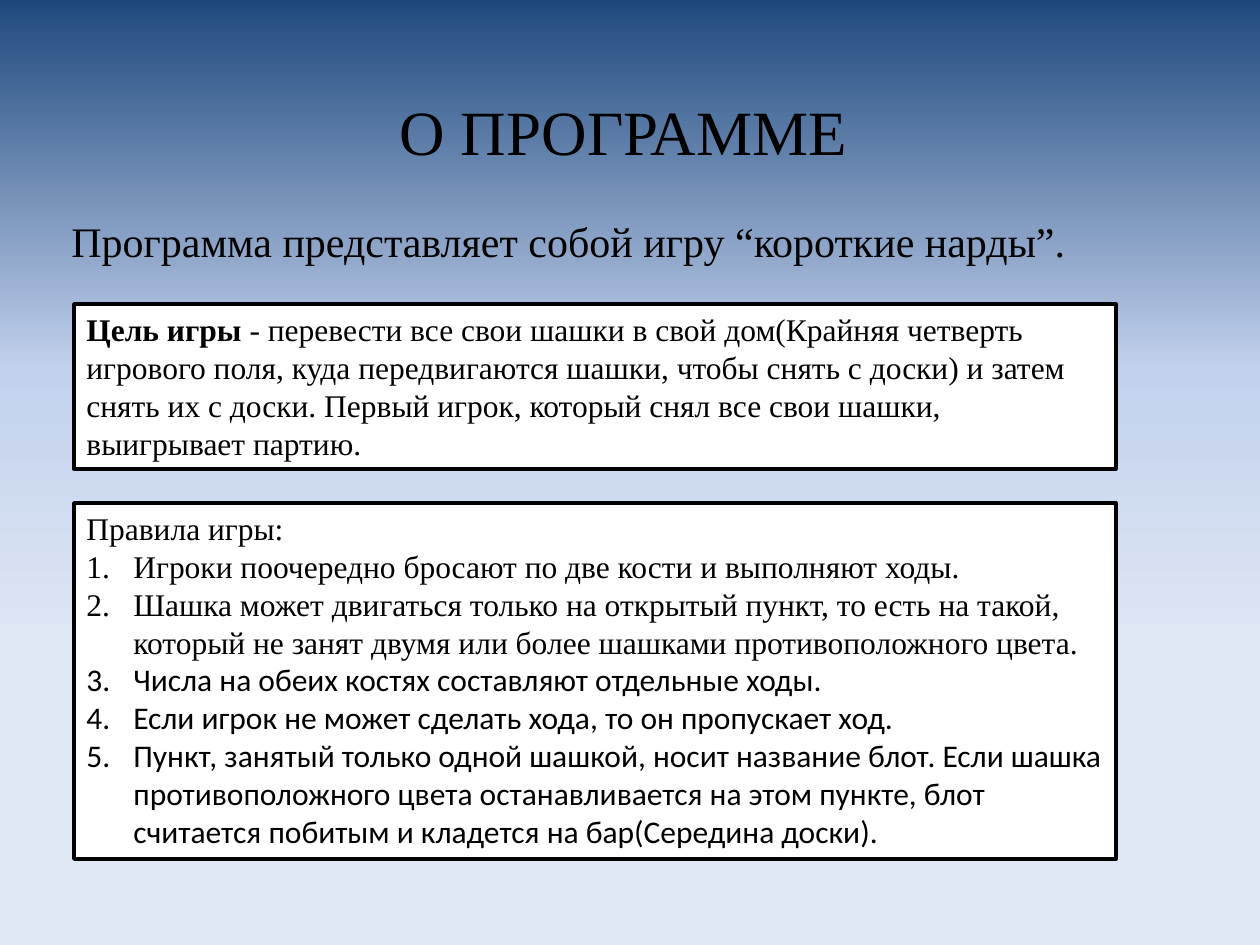
from copy import deepcopy

from lxml import etree
from pptx import Presentation
from pptx import util as u
from pptx.dml.color import RGBColor
from pptx.enum import shapes, text
from pptx.oxml.ns import qn

SERIF, SANS = "Times New Roman", "Calibri"
BACKGROUND = [(0, "1F497D"), (0.39, "C2D1ED"), (0.7, "E1E8F5")]

# Each run is (text, font, bold)
TITLE = ("О ПРОГРАММЕ", SERIF, False)
INTRO = ("Программа представляет собой игру “короткие нарды”.", SERIF, False)
GOAL = [
    ("Цель игры", SERIF, True),
    (" - перевести все свои шашки в свой дом(Крайняя четверть игрового поля, "
     "куда передвигаются шашки, чтобы снять с доски) и затем снять их с доски. "
     "Первый игрок, который снял все свои шашки, выигрывает партию. ", SERIF, False),
]
RULES_HEADING = ("Правила игры:", SERIF, False)
RULES = [
    ("Игроки поочередно бросают по две кости и выполняют ходы. ", SERIF, False),
    ("Шашка может двигаться только на открытый пункт, то есть на такой, "
     "который не занят двумя или более шашками противоположного цвета.", SERIF, False),
    ("Числа на обеих костях составляют отдельные ходы.", SANS, False),
    ("Если игрок не может сделать хода, то он пропускает ход.", SANS, False),
    ("Пункт, занятый только одной шашкой, носит название блот. Если шашка "
     "противоположного цвета останавливается на этом пункте, блот считается "
     "побитым и кладется на бар(Середина доски).", SANS, False),
]

# Places in px: left, top, width, height
TITLE_BOX = (387, 86, 873, 89)
INTRO_BOX = (59, 209, 1126, 115)
GOAL_BOX = (74, 304, 1042, 165)
RULES_BOX = (74, 503, 1042, 356)
NUMBER_INDENT = 47


def px(value):
    return round(value * u.Inches(1) / 126)


def color(value):
    return RGBColor.from_string(value)


def paint_background(slide):
    fill = slide.background.fill
    fill.gradient()
    fill.gradient_angle = 270
    stop_list = next(slide.element.iter(qn("a:gsLst")))
    stop_list.append(deepcopy(stop_list[0]))
    for stop, (position, value) in zip(fill.gradient_stops, BACKGROUND):
        stop.position = position
        stop.color.rgb = color(value)


def number_paragraph(paragraph):
    properties = paragraph._p.get_or_add_pPr()
    properties.set("marL", str(px(NUMBER_INDENT)))
    properties.set("indent", str(-px(NUMBER_INDENT)))
    etree.SubElement(properties, qn("a:buFont"), typeface="+mj-lt")
    etree.SubElement(properties, qn("a:buAutoNum"), type="arabicPeriod")


def write(shape, paragraphs, size):
    """Fill a shape with (runs, numbered) paragraphs."""
    frame = shape.text_frame
    frame.word_wrap = True
    frame.auto_size = text.MSO_AUTO_SIZE.SHAPE_TO_FIT_TEXT
    frame.vertical_anchor = text.MSO_ANCHOR.TOP
    for index, (runs, numbered) in enumerate(paragraphs):
        paragraph = frame.add_paragraph() if index else frame.paragraphs[0]
        paragraph.alignment = text.PP_ALIGN.LEFT
        if numbered:
            number_paragraph(paragraph)
        for words, font, bold in runs:
            run = paragraph.add_run()
            run.text = words
            run.font.name = font
            run.font.size = u.Pt(size)
            run.font.bold = bold
            run.font.color.rgb = color("000000")


def add_panel(slide, box):
    panel = slide.shapes.add_shape(shapes.MSO_SHAPE.RECTANGLE, *map(px, box))
    panel.shadow.inherit = False
    panel.fill.solid()
    panel.fill.fore_color.rgb = color("FFFFFF")
    panel.line.color.rgb = color("000000")
    panel.line.width = u.Pt(2)
    return panel


def main():
    presentation = Presentation()
    presentation.slide_width, presentation.slide_height = u.Inches(10), u.Inches(7.5)
    slide = presentation.slides.add_slide(presentation.slide_layouts[6])
    paint_background(slide)

    # Title and introduction
    for box, run, size in [(TITLE_BOX, TITLE, 36), (INTRO_BOX, INTRO, 24)]:
        write(slide.shapes.add_textbox(*map(px, box)), [([run], False)], size)

    # Goal and rules panels
    write(add_panel(slide, GOAL_BOX), [(GOAL, False)], 18)
    rules = [([RULES_HEADING], False)] + [([rule], True) for rule in RULES]
    write(add_panel(slide, RULES_BOX), rules, 18)

    presentation.save("out.pptx")


if __name__ == "__main__":
    main()
